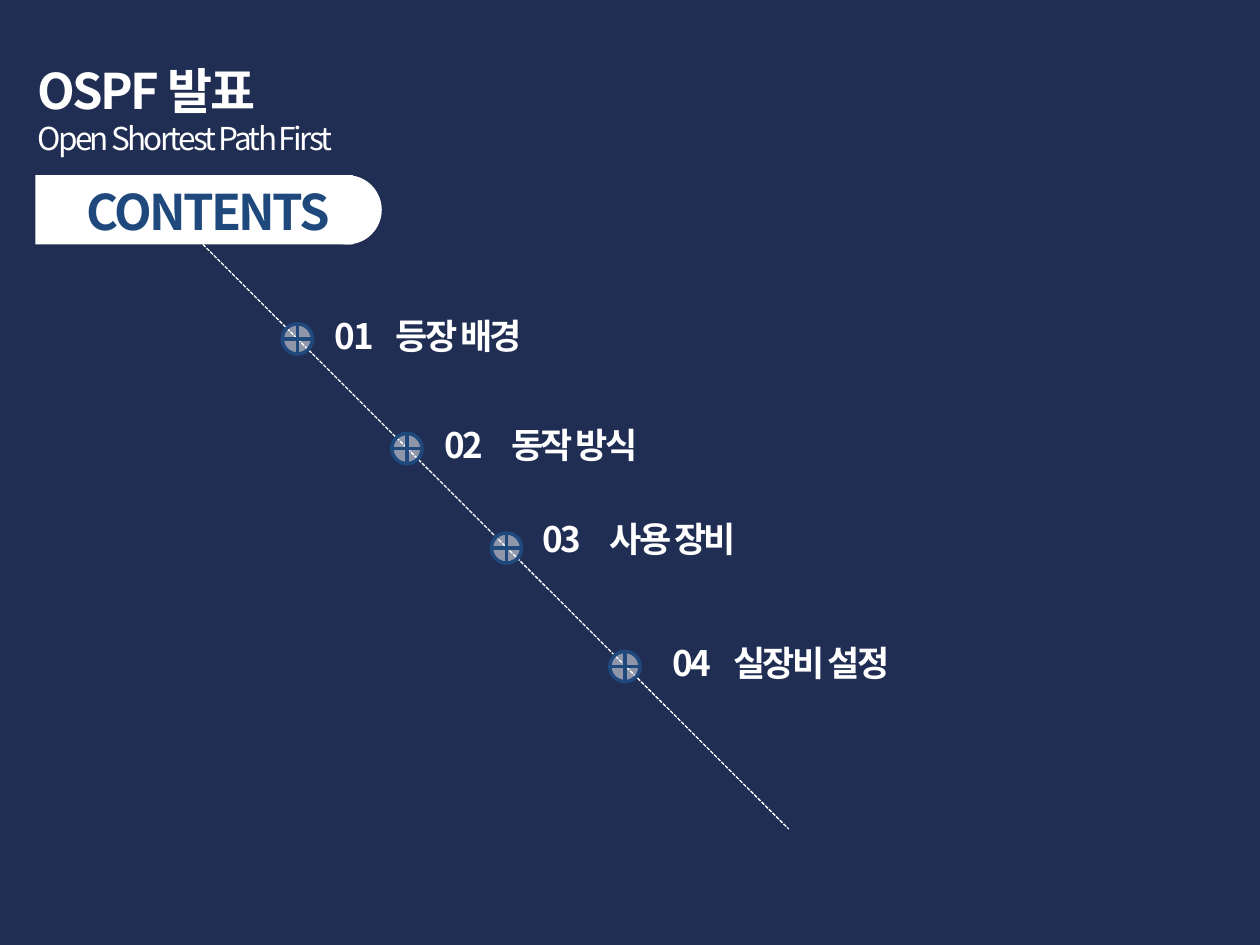
from pptx import Presentation
from pptx.dml.color import RGBColor
from pptx.enum.dml import MSO_LINE as Dash
from pptx.enum.shapes import MSO_CONNECTOR as Conn, MSO_SHAPE as Kind
from pptx.enum.text import MSO_AUTO_SIZE as Fit
from pptx.oxml.ns import qn
from pptx.util import Inches, Pt
from lxml.etree import SubElement as Sub

NAVY = RGBColor(0x21, 0x2E, 0x53)
BLUE = RGBColor(0x1F, 0x49, 0x7D)
WHITE = RGBColor(0xFF, 0xFF, 0xFF)


class Deck:
    face = "Noto Sans CJK KR"
    track = -150

    def __init__(self, wide, high):
        self.prs = Presentation()
        self.prs.slide_width = Inches(wide)
        self.prs.slide_height = Inches(high)
        self.slide = self.prs.slides.add_slide(self.prs.slide_layouts[6])
        fill = self.slide.background.fill
        fill.solid()
        fill.fore_color.rgb = NAVY

    def text(self, x, y, w, h, lines, color=WHITE, tab=None):
        box = self.slide.shapes.add_textbox(*map(Inches, (x, y, w, h)))
        frame = box.text_frame
        frame.word_wrap = True
        frame.auto_size = Fit.SHAPE_TO_FIT_TEXT
        frame.text = "\n".join(line for line, _, _ in lines)
        for para, (_, size, bold) in zip(frame.paragraphs, lines):
            if tab:
                stops = Sub(para._p.get_or_add_pPr(), qn("a:tabLst"))
                Sub(stops, qn("a:tab"), pos=str(Inches(tab)), algn="l")
            for run in para.runs:
                font = run.font
                font.name, font.size, font.bold = self.face, Pt(size), bold
                font.color.rgb = color
                props = run._r.get_or_add_rPr()
                props.set("spc", str(self.track))
                Sub(props, qn("a:ea"), typeface=self.face)

    def shape(self, kind, x, y, w, h, edge=None, alpha=None):
        item = self.slide.shapes.add_shape(kind, *map(Inches, (x, y, w, h)))
        item.shadow.inherit = False
        item.fill.solid()
        item.fill.fore_color.rgb = WHITE
        if alpha:
            tint = item._element.spPr.find(qn("a:solidFill"))[0]
            Sub(tint, qn("a:alpha"), val=str(alpha * 1000))
        if edge:
            item.line.color.rgb = edge
            item.line.width = Pt(2)
        else:
            item.line.fill.background()

    def line(self, x1, y1, x2, y2):
        rule = self.slide.shapes.add_connector(
            Conn.STRAIGHT, *map(Inches, (x1, y1, x2, y2)))
        rule.line.color.rgb = WHITE
        rule.line.width = Pt(0.75)
        rule.line.dash_style = Dash.SQUARE_DOT
        Sub(rule._element.spPr, qn("a:effectLst"))


def main():
    deck = Deck(10, 7.5)
    deck.text(0.2, 0.43, 6.77, 0.88, [
        ("OSPF 발표", 28, True), ("Open Shortest Path First", 18, False)])
    deck.shape(Kind.RECTANGLE, 0.28, 1.39, 2.52, 0.55)
    deck.shape(Kind.OVAL, 2.48, 1.39, 0.55, 0.55)
    deck.text(0.59, 1.39, 2.52, 0.57, [("CONTENTS", 28, True)], BLUE)
    deck.line(1.61, 1.94, 6.26, 6.58)

    topics = [
        ("등장 배경", 2.24, 2.56, 2.45, 0.48),
        ("동작 방식", 3.11, 3.43, 3.31, 0.53),
        ("사용 장비", 3.9, 4.21, 4.06, 0.53),
        ("실장비 설정", 4.84, 5.24, 5.04, 0.48),
    ]
    for num, (name, dot, x, y, tab) in enumerate(topics, 1):
        deck.shape(Kind.FLOWCHART_OR, dot, dot + 0.33, 0.24, 0.24, BLUE, 50)
        deck.text(x, y, 4.09, 0.44, [(f"{num:02}\t{name}", 20, True)], tab=tab)
    deck.prs.save("out.pptx")


if __name__ == "__main__":
    main()
